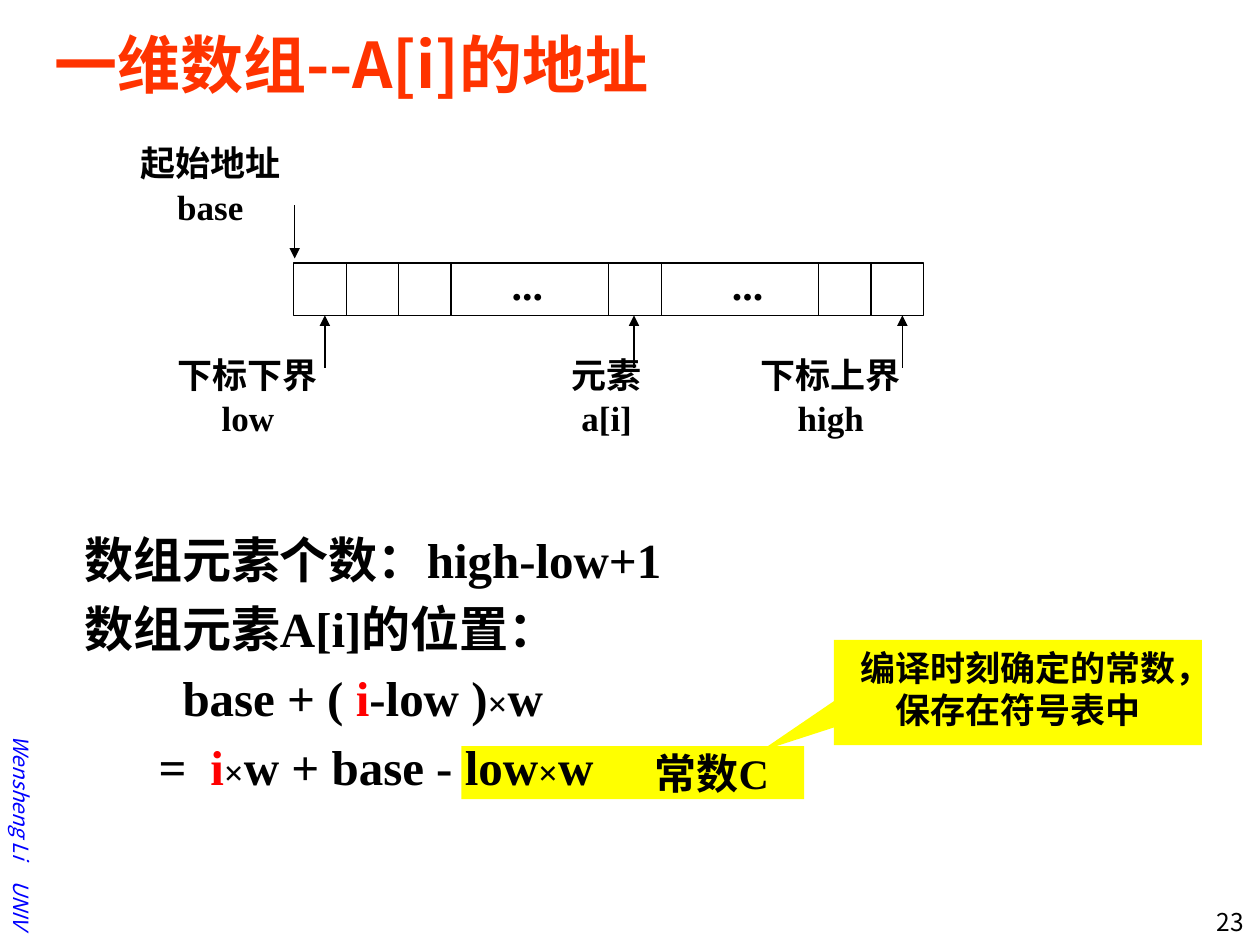
"""Build the slide on the address of an element in a one-dimensional array."""
from lxml import etree
from pptx import Presentation
from pptx.dml.color import RGBColor
from pptx.enum.shapes import MSO_CONNECTOR, MSO_SHAPE as SHAPE
from pptx.enum.text import MSO_ANCHOR as ANCHOR, PP_ALIGN as ALIGN
from pptx.oxml.ns import qn
from pptx.util import Cm, Pt

COLORS = dict(black="000000", white="FFFFFF", orange="FF3300",
              red="FF0000", blue="0000FF", yellow="FFFF00")
SANS, SERIF = "Noto Sans CJK SC", "Times New Roman"

TITLE = "一维数组--A[i]的地址"
SIDEBAR = "Wensheng Li\u2003UNIV"
NUMBER = "23"
CONSTANT = "常数C"
CALLOUT = "编译时刻确定的常数，保存在符号表中"
INDEX = ("i", dict(color="red"))
TIMES = ("×", dict(size=20))
BODY = [
    (["数组元素个数：high-low+1"], 0, 0),
    (["数组元素A[i]的位置："], 0, 0),
    (["base + ( ", INDEX, "-low )", TIMES, "w"], 1.98, 0),
    (["=\t", INDEX, TIMES, "w + base - low", TIMES, "w"], 2.54, -1.04),
]

LEFT, TOP, CELL, CELLS = 5.92, 5.3, 12.7 / 12, 12
BOTTOM = TOP + CELL
DIVIDERS = [1, 2, 3, 6, 7, 10, 11]
DOTS = [10.63, 15.07]
POINTERS = [
    (["起始地址", "base"], 4.24, 3.71, 5.94, 4.14, 5.21),
    (["下标下界", "low"], 5.0, 7.98, 6.55, BOTTOM + CELL, BOTTOM),
    (["元素", "a[i]"], 12.23, 7.98, 12.78, BOTTOM + CELL, BOTTOM),
    (["下标上界", "high"], 16.75, 7.98, 18.19, BOTTOM + CELL, BOTTOM),
]

prs = Presentation()
prs.slide_width, prs.slide_height = Cm(25.4), Cm(19.05)
s = prs.slides.add_slide(prs.slide_layouts[6])


def add_run(p, text, size=20, font=SERIF, color="black", bold=True, italic=False):
    r = p.add_run()
    r.text = text
    f = r.font
    f.size, f.name, f.bold, f.italic = Pt(size), font, bold, italic
    f.color.rgb = RGBColor.from_string(COLORS[color])
    etree.SubElement(r.font._element, qn("a:ea"), typeface=SANS)


def put_text(sp, lines, align=ALIGN.LEFT, anchor=ANCHOR.TOP, pitch=None, before=0, **fmt):
    tf = sp.text_frame
    tf.word_wrap, tf.vertical_anchor = True, anchor
    for n, (parts, margin, indent) in enumerate(lines):
        p = tf.paragraphs[0] if n == 0 else tf.add_paragraph()
        p.alignment, p.space_before = align, Pt(before)
        if pitch:
            p.line_spacing = Pt(pitch)
        if margin:
            pPr = p._p.get_or_add_pPr()
            pPr.set("marL", str(Cm(margin)))
            pPr.set("indent", str(Cm(indent)))
        for part in parts:
            text, own = (part, {}) if isinstance(part, str) else part
            add_run(p, text, **{**fmt, **own})
    return sp


def plain(*texts):
    return [([text], 0, 0) for text in texts]


def add_box(x, y, w, h):
    return s.shapes.add_textbox(Cm(x), Cm(y), Cm(w), Cm(h))


def add_filled(kind, x, y, w, h, fill, line=None):
    sp = s.shapes.add_shape(kind, Cm(x), Cm(y), Cm(w), Cm(h))
    sp.shadow.inherit = False
    sp.fill.solid()
    sp.fill.fore_color.rgb = RGBColor.from_string(COLORS[fill])
    if line:
        sp.line.color.rgb = RGBColor.from_string(COLORS[line])
        sp.line.width = Pt(0.75)
    else:
        sp.line.fill.background()
    return sp


def add_line(x, y1, y2, arrow=False):
    c = s.shapes.add_connector(MSO_CONNECTOR.STRAIGHT, Cm(x), Cm(y1), Cm(x), Cm(y2))
    c.line.color.rgb = RGBColor.from_string(COLORS["black"])
    c.line.width = Pt(0.75)
    if arrow:
        etree.SubElement(c.line._get_or_add_ln(), qn("a:tailEnd"), type="triangle")
    etree.SubElement(c._element.spPr, qn("a:effectLst"))


sidebar = put_text(add_box(-2.9, 15.24, 6.7, 0.76), plain(SIDEBAR), ALIGN.RIGHT,
                   ANCHOR.MIDDLE, size=12, font=SANS, color="blue", bold=False, italic=True)
sidebar.rotation = 90
put_text(add_box(23.22, 18.16, 2.11, 0.81), plain(NUMBER), ALIGN.RIGHT,
         size=14, font=SANS, bold=False)
put_text(add_box(0.84, 0.43, 23.93, 1.7), plain(TITLE), anchor=ANCHOR.MIDDLE,
         size=36, font=SANS, color="orange")

constant = add_filled(SHAPE.RECTANGLE, 9.3, 15.04, 6.91, 1.07, "yellow")
constant.text_frame.margin_left, constant.text_frame.margin_right = Cm(3.9), 0
put_text(constant, plain(CONSTANT), anchor=ANCHOR.MIDDLE, size=24)

add_filled(SHAPE.RECTANGLE, LEFT, TOP, CELL * CELLS, CELL, "white", "black")
for n in DIVIDERS:
    add_line(LEFT + n * CELL, TOP, BOTTOM)
for x in DOTS:
    put_text(add_box(x - 0.75, 5.08, 1.5, 1.27), plain("..."), ALIGN.CENTER,
             ANCHOR.MIDDLE, size=24)
for words, x, y, tip, start, end in POINTERS:
    add_line(tip, start, end, arrow=True)
    put_text(add_box(x - 2, y - 1, 4, 2), plain(*words), ALIGN.CENTER,
             ANCHOR.MIDDLE, pitch=24.6)

put_text(add_box(1.45, 10.54, 23.16, 6.73), BODY, pitch=33.8, before=5.6, size=28)
callout = add_filled(SHAPE.RECTANGULAR_CALLOUT, 16.81, 12.9, 7.42, 2.12, "yellow")
callout.adjustments[0], callout.adjustments[1] = -0.7, 0.56
put_text(callout, plain(CALLOUT), ALIGN.CENTER, pitch=24, font=SANS)

prs.save("out.pptx")
